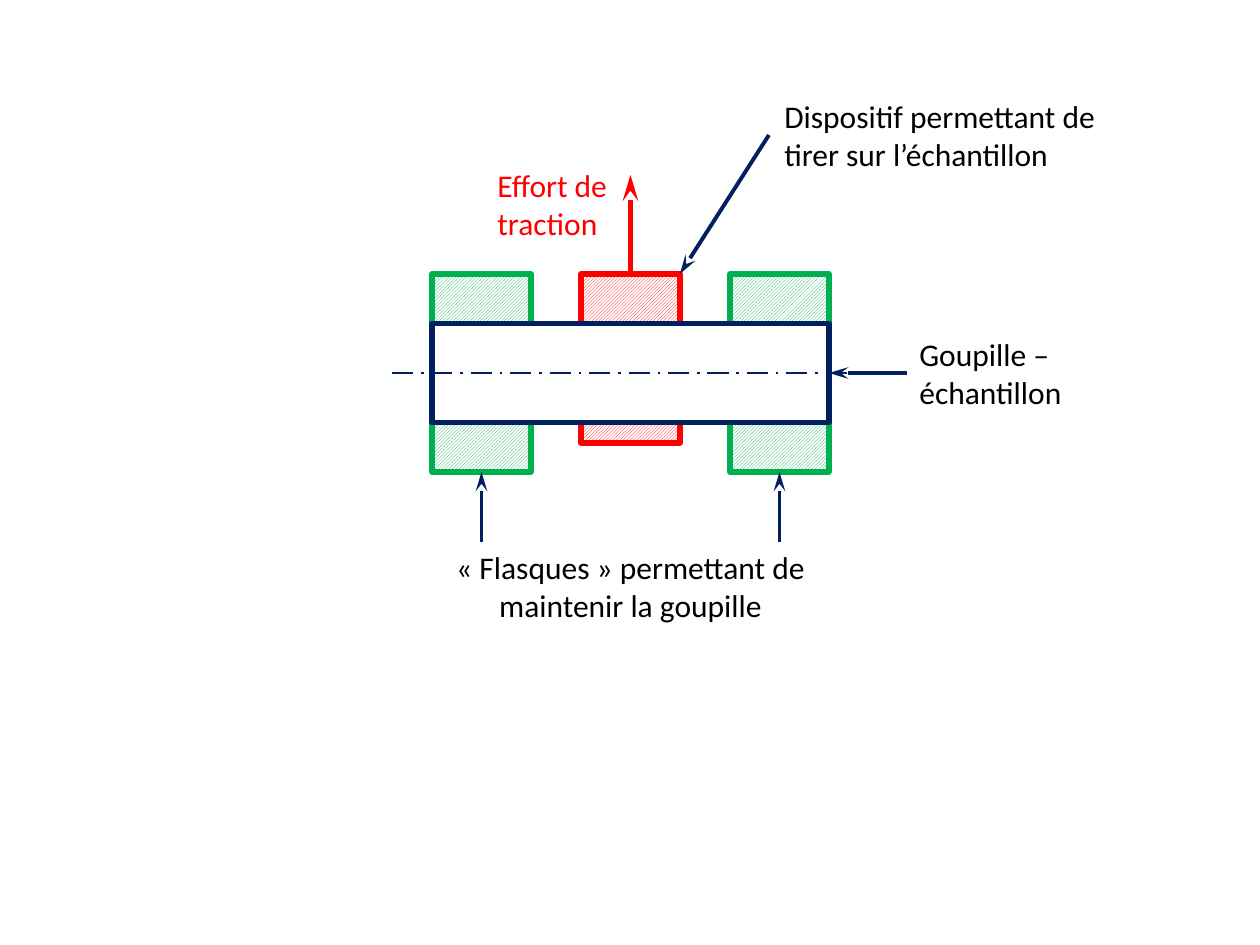
import pptx
import pptx.util
import pptx.dml.color
import pptx.enum.dml
import pptx.enum.shapes
import pptx.enum.text
import pptx.oxml.ns
import lxml.etree

SCALE = 914400 // 126  # EMU per pixel
COLORS = {
    "red": "FF0000",
    "green": "00B050",
    "navy": "002060",
    "white": "FFFFFF",
    "black": "000000",
}


def px(value):
    return pptx.util.Emu(round(value * SCALE))


def rgb(name):
    return pptx.dml.color.RGBColor.from_string(COLORS[name])


def add_block(slide, left, top, width, height, color, hatched=True):
    """Outlined rectangle, hatched in its outline colour or plain white."""
    shape = slide.shapes.add_shape(
        pptx.enum.shapes.MSO_SHAPE.RECTANGLE,
        px(left), px(top), px(width), px(height))
    shape.shadow.inherit = False
    if hatched:
        shape.fill.patterned()
        shape.fill.pattern = pptx.enum.dml.MSO_PATTERN.LIGHT_UPWARD_DIAGONAL
        shape.fill.fore_color.rgb = rgb(color)
        shape.fill.back_color.rgb = rgb("white")
    else:
        shape.fill.solid()
        shape.fill.fore_color.rgb = rgb("white")
    shape.line.color.rgb = rgb(color)
    shape.line.width = pptx.util.Pt(3)


def add_line(slide, start, end, color, width, dash=None):
    connector = slide.shapes.add_connector(
        pptx.enum.shapes.MSO_CONNECTOR.STRAIGHT,
        px(start[0]), px(start[1]), px(end[0]), px(end[1]))
    connector.line.color.rgb = rgb(color)
    connector.line.width = pptx.util.Pt(width)
    if dash is not None:
        connector.line.dash_style = dash
    properties = connector._element.spPr
    lxml.etree.SubElement(properties, pptx.oxml.ns.qn("a:effectLst"))
    return connector


def add_arrow(slide, start, end, color="navy", width=2.25):
    connector = add_line(slide, start, end, color, width)
    outline = connector.line._get_or_add_ln()
    lxml.etree.SubElement(outline, pptx.oxml.ns.qn("a:tailEnd"),
                          type="stealth", w="med", len="lg")


def add_label(slide, left, top, width, text, color="black", centered=False):
    box = slide.shapes.add_textbox(px(left), px(top), px(width), px(89))
    frame = box.text_frame
    frame.word_wrap = True
    frame.auto_size = pptx.enum.text.MSO_AUTO_SIZE.SHAPE_TO_FIT_TEXT
    frame.text = text
    paragraph = frame.paragraphs[0]
    if centered:
        paragraph.alignment = pptx.enum.text.PP_ALIGN.CENTER
    font = paragraph.runs[0].font
    font.name = "Calibri"
    font.size = pptx.util.Pt(18)
    font.color.rgb = rgb(color)


def main():
    presentation = pptx.Presentation()
    presentation.slide_width = pptx.util.Inches(10)
    presentation.slide_height = pptx.util.Inches(7.5)
    slide = presentation.slides.add_slide(presentation.slide_layouts[6])

    # Shared geometry: three plates at an equal pitch, crossed by the pin
    left, top, plate_width, pitch = 432, 274, 99, 149
    flange_height, puller_height = 198, 169
    pin_width = 2 * pitch + plate_width
    right = left + pin_width
    middle = left + pin_width / 2
    axis = top + flange_height / 2
    flange_lefts = (left, left + 2 * pitch)
    puller_left = left + pitch

    # Puller, flanges and pin
    add_block(slide, puller_left, top, plate_width, puller_height, "red")
    for flange_left in flange_lefts:
        add_block(slide, flange_left, top, plate_width, flange_height, "green")
    add_block(slide, left, axis - plate_width / 2, pin_width, plate_width,
              "navy", hatched=False)
    add_line(slide, (392, axis), (848, axis), "navy", 1.5,
             pptx.enum.dml.MSO_LINE.LONG_DASH_DOT)

    # Arrows
    add_arrow(slide, (middle, top), (middle, 175), "red", 3)
    add_arrow(slide, (907, axis), (right, axis))
    for flange_left in flange_lefts:
        center = flange_left + plate_width / 2
        add_arrow(slide, (center, 542), (center, top + flange_height))
    add_arrow(slide, (769, 135), (puller_left + plate_width, top))

    # Labels
    add_label(slide, 907, 329, 218, "Goupille – échantillon")
    add_label(slide, left, 542, pin_width,
              "«\u00a0Flasques\u00a0» permettant de maintenir la goupille",
              centered=True)
    add_label(slide, 772, 91, 364,
              "Dispositif permettant de tirer sur l’échantillon")
    add_label(slide, 485, 160, 218, "Effort de traction", "red")

    presentation.save("out.pptx")


main()
